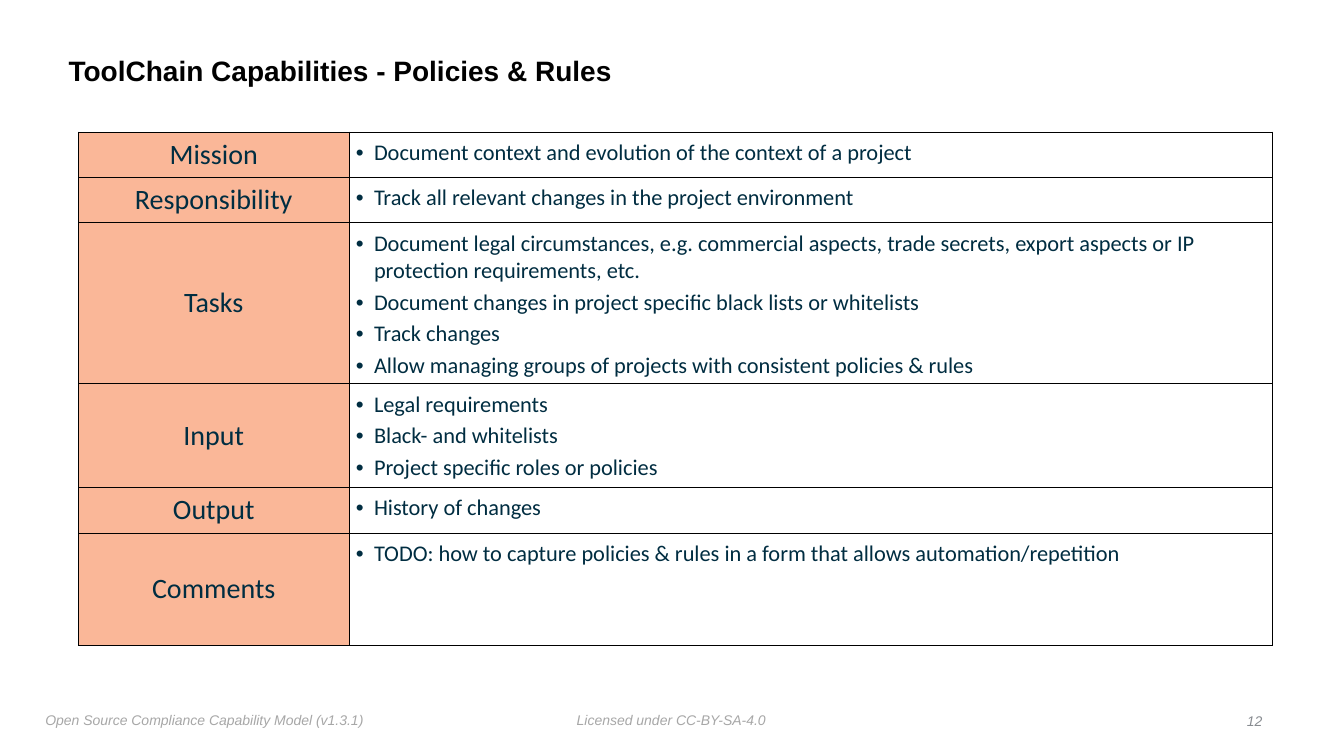
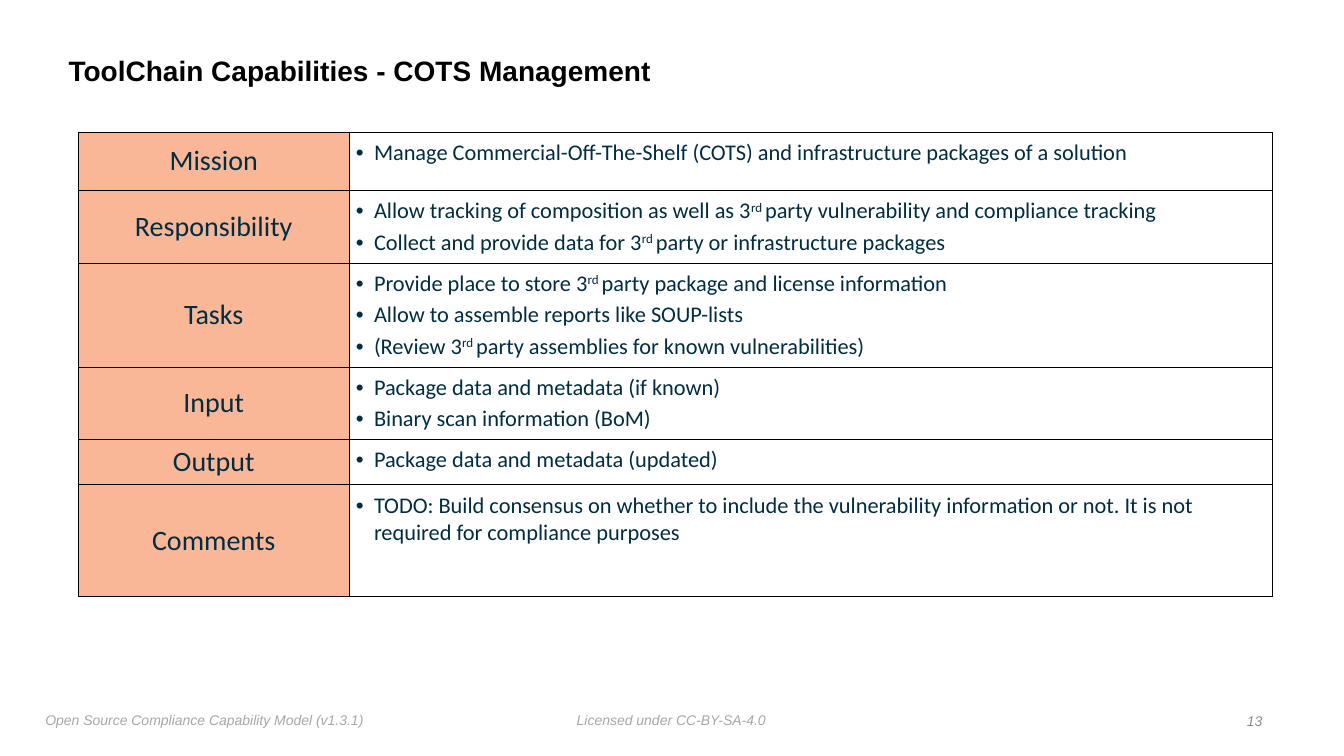
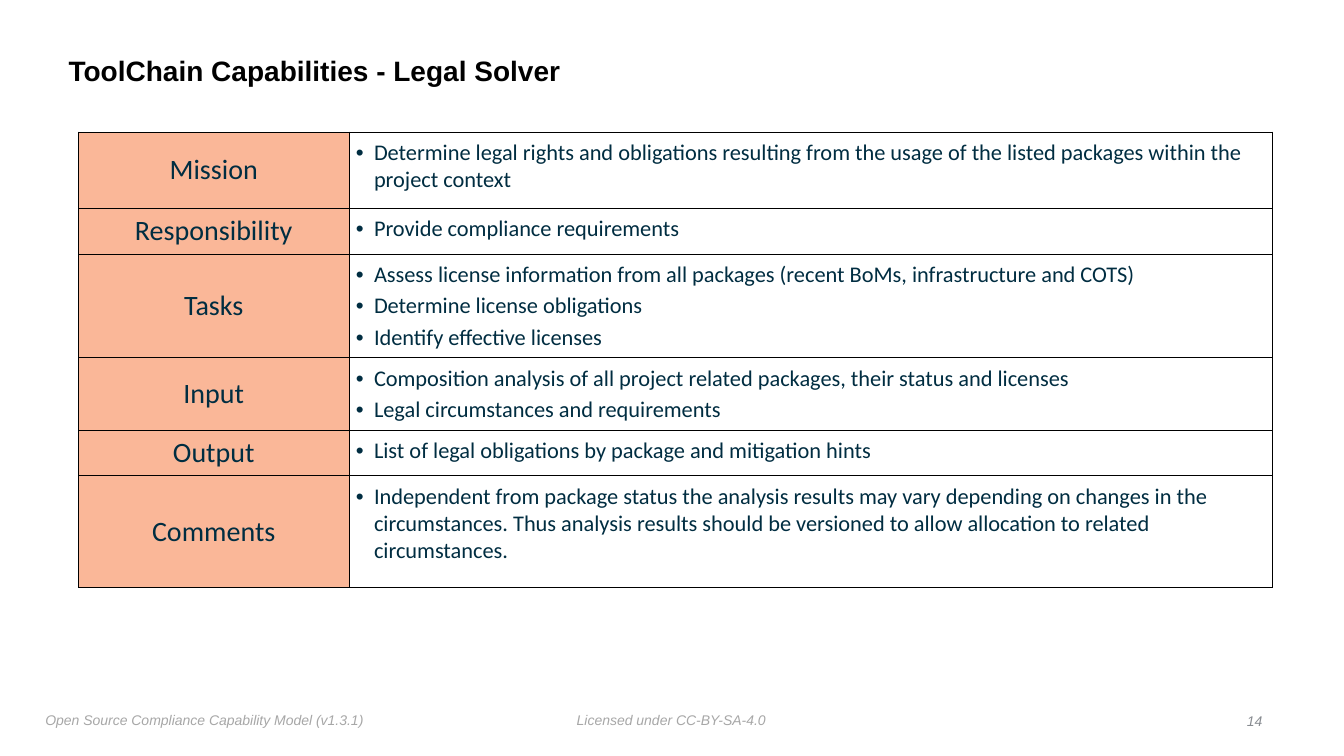
"""Builds three capability tables with a shared title, label column and footer."""
from lxml.etree import SubElement
from pptx import Presentation
from pptx.dml.color import RGBColor
from pptx.enum.text import MSO_ANCHOR, PP_ALIGN
from pptx.oxml import parse_xml
from pptx.oxml.ns import nsdecls, qn
from pptx.util import Inches, Pt

COLORS = {"title": "000000", "border": "000000", "label": "FAB798",
          "body": "002D41", "footer": "A7A7A7", "number": "888C91"}
LABELS = ["Mission", "Responsibility", "Tasks", "Input", "Output", "Comments"]
LABEL_WIDTH, DETAIL_WIDTH = 2.68, 9.16
SINGLE_ROW, COMMENTS_ROW = 0.45, 1.11
ROW_PADDING, LINE_STEP = 0.1, 0.31
CELL_MARGIN, BULLET_INDENT = 0.07, 0.18
FIRST_NUMBER = 12

CAPABILITIES = [
    ("Policies & Rules", 0.45, [
        ["Document context and evolution of the context of a project"],
        ["Track all relevant changes in the project environment"],
        ["Document legal circumstances, e.g. commercial aspects, trade secrets, "
         "export aspects or IP protection requirements, etc.",
         "Document changes in project specific black lists or whitelists",
         "Track changes",
         "Allow managing groups of projects with consistent policies & rules"],
        ["Legal requirements", "Black- and whitelists",
         "Project specific roles or policies"],
        ["History of changes"],
        ["TODO: how to capture policies & rules in a form that allows "
         "automation/repetition"]]),
    ("COTS Management", 0.58, [
        ["Manage Commercial-Off-The-Shelf (COTS) and infrastructure packages "
         "of a solution"],
        ["Allow tracking of composition as well as 3^rd ^party vulnerability "
         "and compliance tracking",
         "Collect and provide data for 3^rd ^party or infrastructure packages"],
        ["Provide place to store 3^rd ^party package and license information",
         "Allow to assemble reports like SOUP-lists",
         "(Review 3^rd ^party assemblies for known vulnerabilities)"],
        ["Package data and metadata (if known)", "Binary scan information (BoM)"],
        ["Package data and metadata (updated)"],
        ["TODO: Build consensus on whether to include the vulnerability "
         "information or not. It is not required for compliance purposes"]]),
    ("Legal Solver", 0.76, [
        ["Determine legal rights and obligations resulting from the usage of "
         "the listed packages within the project context"],
        ["Provide compliance requirements"],
        ["Assess license information from all packages (recent BoMs, "
         "infrastructure and COTS)",
         "Determine license obligations", "Identify effective licenses"],
        ["Composition analysis of all project related packages, their status "
         "and licenses",
         "Legal circumstances and requirements"],
        ["List of legal obligations by package and mitigation hints"],
        ["Independent from package status the analysis results may vary "
         "depending on changes in the circumstances. Thus analysis results "
         "should be versioned to allow allocation to related circumstances."]]),
]


def write(para, text, size, face, color, bold=False, italic=False):
    for index, part in enumerate(text.split("^")):
        span = para.add_run()
        span.text = part
        if index % 2:
            span.font._element.set("baseline", "30000")
    font = para.font
    font.size, font.name = Pt(size), face
    font.bold, font.italic = bold, italic
    font.color.rgb = RGBColor.from_string(COLORS[color])


def add_text(page, area, text, size, color, wrap=False, **style):
    box = page.shapes.add_textbox(*map(Inches, area))
    frame = box.text_frame
    frame.word_wrap = wrap
    frame.margin_left = frame.margin_right = Inches(0.05)
    frame.margin_top = frame.margin_bottom = Inches(0.05)
    write(frame.paragraphs[0], text, size, "Arial", color, **style)
    return frame


deck = Presentation()
deck.slide_width, deck.slide_height = Inches(13.33), Inches(7.5)

for number, (name, mission_row, details) in enumerate(CAPABILITIES, FIRST_NUMBER):
    page = deck.slides.add_slide(deck.slide_layouts[6])
    add_text(page, (5.67, 7.01, 1.99, 0.25), "Licensed under CC-BY-SA-4.0",
             10, "footer", italic=True)
    add_text(page, (0.4, 7.01, 3.36, 0.27),
             "Open Source Compliance Capability Model (v1.3.1)",
             10, "footer", italic=True)
    title = add_text(page, (0.63, 0.39, 10.75, 0.65),
                     f"ToolChain Capabilities - {name}", 20, "title",
                     wrap=True, bold=True)
    title.vertical_anchor = MSO_ANCHOR.MIDDLE
    title.paragraphs[0].line_spacing = 0.9

    heights = [max(SINGLE_ROW, ROW_PADDING + LINE_STEP * len(items))
               for items in details]
    heights[0], heights[-1] = mission_row, COMMENTS_ROW
    table = page.shapes.add_table(
        len(LABELS), 2, Inches(0.78), Inches(1.31),
        Inches(LABEL_WIDTH + DETAIL_WIDTH), Inches(sum(heights))).table
    table.first_row = table.horz_banding = False
    table.columns[0].width = Inches(LABEL_WIDTH)
    table.columns[1].width = Inches(DETAIL_WIDTH)

    for row, height, label, items in zip(table.rows, heights, LABELS, details):
        row.height = Inches(height)
        label_cell, detail_cell = row.cells
        label_cell.fill.solid()
        label_cell.fill.fore_color.rgb = RGBColor.from_string(COLORS["label"])
        label_cell.vertical_anchor = MSO_ANCHOR.MIDDLE
        detail_cell.fill.background()
        for cell, margin in ((label_cell, 0), (detail_cell, CELL_MARGIN)):
            cell.margin_left = cell.margin_right = Inches(margin)
            cell.margin_top = cell.margin_bottom = Inches(margin)
            for position, side in enumerate(("lnL", "lnR", "lnT", "lnB")):
                border = parse_xml(
                    f'<a:{side} {nsdecls("a")} w="{Pt(0.5)}"><a:solidFill>'
                    f'<a:srgbClr val="{COLORS["border"]}"/></a:solidFill></a:{side}>')
                cell._tc.get_or_add_tcPr().insert(position, border)

        para = label_cell.text_frame.paragraphs[0]
        para.alignment = PP_ALIGN.CENTER
        write(para, label, 20, "Calibri", "body")

        frame = detail_cell.text_frame
        for index, item in enumerate(items):
            para = frame.add_paragraph() if index else frame.paragraphs[0]
            para.space_before = Pt(3)
            properties = para._p.get_or_add_pPr()
            properties.set("marL", str(Inches(BULLET_INDENT)))
            properties.set("indent", str(-Inches(BULLET_INDENT)))
            SubElement(properties, qn("a:buFont"), typeface="Arial")
            SubElement(properties, qn("a:buChar"), char="•")
            write(para, item, 16, "Calibri", "body")

    page_number = add_text(page, (12.3, 7.03, 0.27, 0.25), str(number),
                           10, "number", italic=True)
    page_number.vertical_anchor = MSO_ANCHOR.MIDDLE
    page_number.paragraphs[0].alignment = PP_ALIGN.RIGHT

deck.save("out.pptx")
